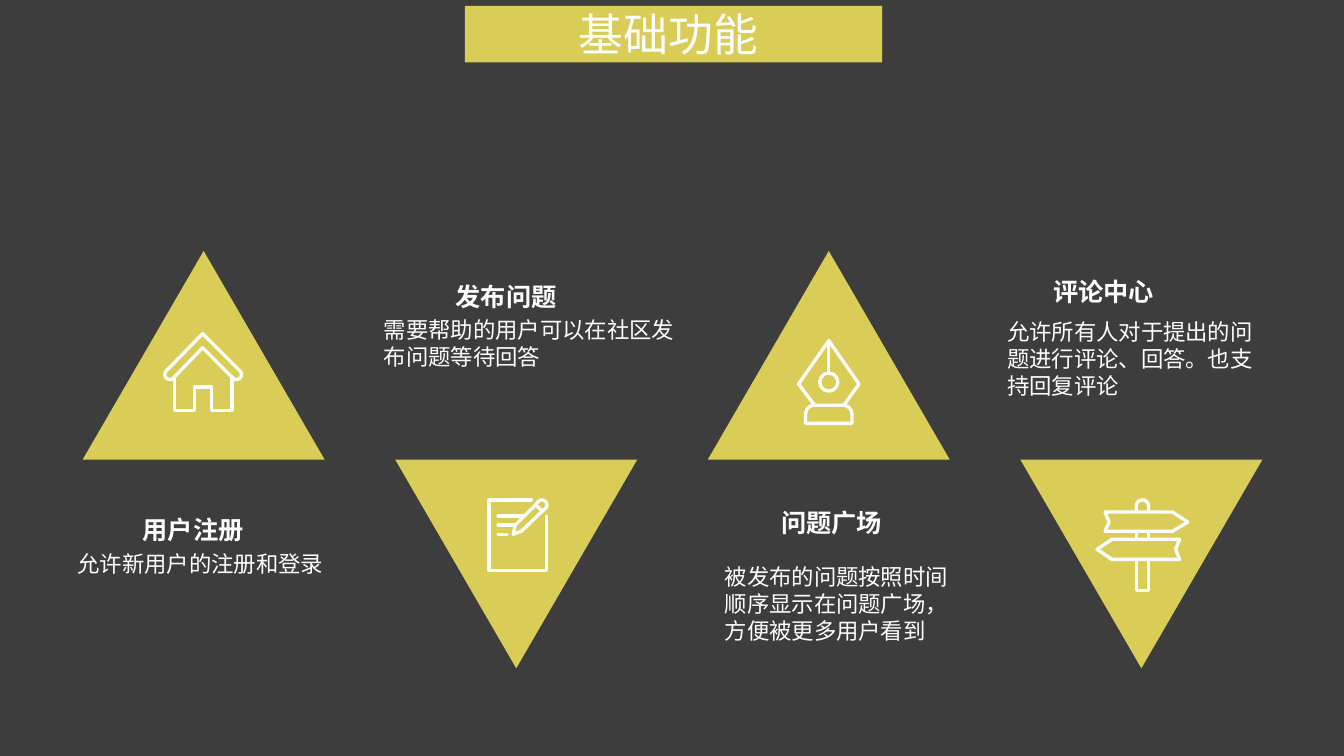
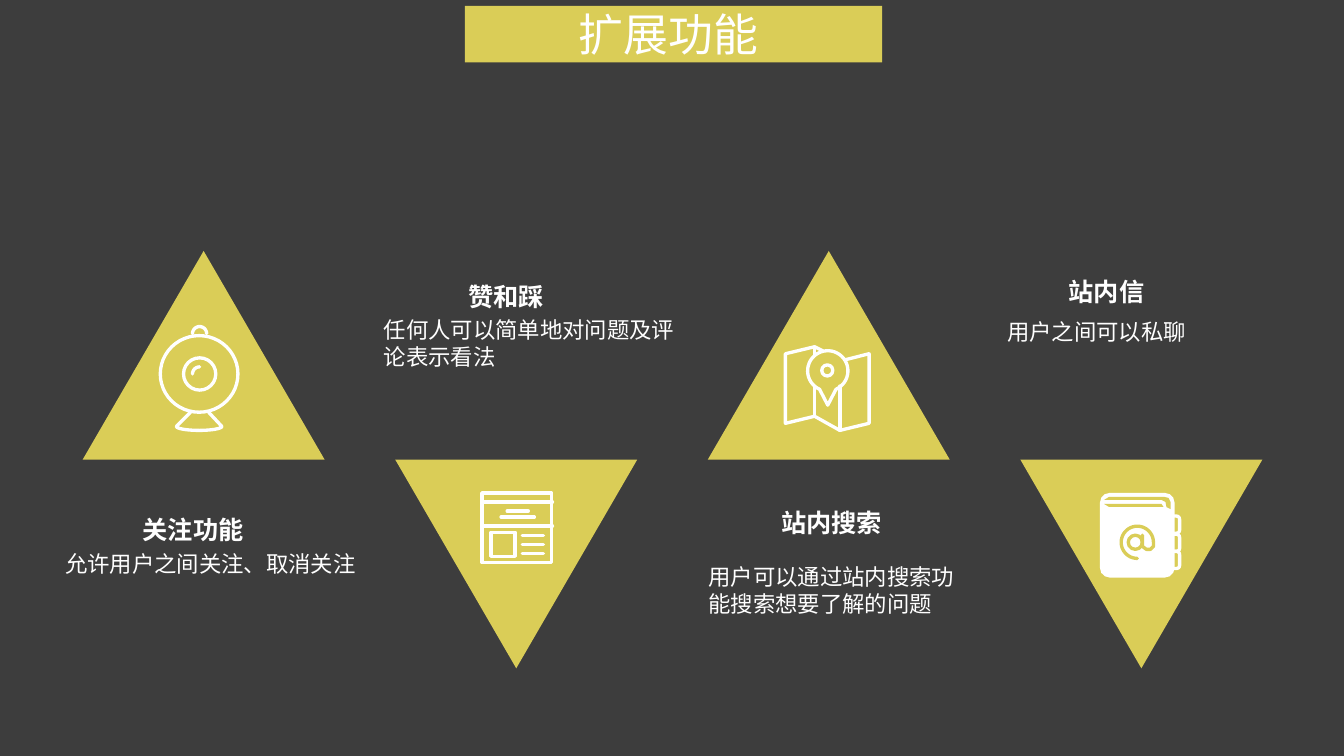
from dataclasses import dataclass
from math import cos, radians, sin

from lxml import etree
from pptx import Presentation
from pptx.dml.color import RGBColor
from pptx.enum.shapes import MSO_CONNECTOR, MSO_SHAPE
from pptx.enum.text import MSO_AUTO_SIZE, PP_ALIGN
from pptx.oxml.ns import qn
from pptx.util import Inches, Pt

RECT = MSO_SHAPE.RECTANGLE
ROUNDED = MSO_SHAPE.ROUNDED_RECTANGLE
OVAL = MSO_SHAPE.OVAL
TRIANGLE = MSO_SHAPE.ISOSCELES_TRIANGLE
STRAIGHT = MSO_CONNECTOR.STRAIGHT
LEFT = PP_ALIGN.LEFT
CENTER = PP_ALIGN.CENTER
GROW = MSO_AUTO_SIZE.SHAPE_TO_FIT_TEXT

FONT = "Noto Sans CJK SC"
DARK, YELLOW, WHITE = "3D3D3D", "DACD57", "FFFFFF"
STROKE = 2.38
FIRST_LEFT, COLUMN_STEP = 0.82, 3.1
UPPER_TOP, LOWER_TOP = 2.49, 4.56
TRIANGLE_WIDTH, TRIANGLE_HEIGHT = 2.4, 2.07

Point = tuple[float, float]


@dataclass(frozen=True)
class Outline:
    points: list[Point]
    closed: bool = False
    line: str | None = WHITE
    fill: str | None = None


@dataclass(frozen=True)
class Segment:
    start: Point
    end: Point


@dataclass(frozen=True)
class Preset:
    kind: MSO_SHAPE
    left: float
    top: float
    width: float
    height: float
    line: str | None = WHITE
    fill: str | None = None
    rounding: float | None = None


Icon = list[Outline | Segment | Preset]


@dataclass(frozen=True)
class Feature:
    heading: str
    body: str
    body_left: float
    body_width: float
    body_lines: int
    icon: Icon


@dataclass(frozen=True)
class Column:
    heading_left: float
    heading_top: float
    heading_width: float
    body_top: float


COLUMNS = [
    Column(0.66, 5.05, 2.51, 5.41),
    Column(3.7, 2.74, 2.64, 3.09),
    Column(6.93, 4.98, 2.64, 5.54),
    Column(9.69, 2.69, 2.51, 3.11),
]


def arc(x: float, y: float, rx: float, ry: float, start: float, end: float) -> list[Point]:
    steps = max(8, int(abs(end - start) / 8))
    angles = [radians(start + (end - start) * i / steps) for i in range(steps + 1)]
    return [(x + rx * cos(a), y + ry * sin(a)) for a in angles]


def rows(left: float, tops_and_rights: list[Point]) -> Icon:
    return [Segment((left, top), (right, top)) for top, right in tops_and_rights]


HOUSE: Icon = [
    Outline([(2.01, 3.45), *arc(2.345, 3.715, 0.05, 0.05, 135, -45), (2.01, 3.31),
             *arc(1.685, 3.715, 0.05, 0.05, 225, 45)], closed=True),
    Outline([(1.73, 3.74), (1.73, 4.07), (1.93, 4.07), (1.93, 3.84),
             (2.1, 3.84), (2.1, 4.07), (2.3, 4.07), (2.3, 3.74)]),
]
NOTE: Icon = [
    Outline([(5.17, 5.27), (5.09, 5.3), (5.11, 5.21), (5.31, 5.01), (5.38, 5.07)], closed=True),
    Outline([(5.38, 5.07), *arc(5.375, 5.01, 0.05, 0.05, 45, -135), (5.31, 5.01)]),
    Outline([(5.42, 5.12), (5.42, 5.66), (4.85, 5.66), (4.85, 4.96), (5.27, 4.96)]),
    *rows(4.94, [(5.12, 5.19), (5.21, 5.1), (5.3, 5.03)]),
]
PEN: Icon = [
    Preset(OVAL, 8.13, 3.7, 0.18, 0.18),
    Outline([*arc(8.08, 4.11, 0.09, 0.09, 180, 270), *arc(8.36, 4.11, 0.09, 0.09, 270, 360),
             (8.45, 4.2), (7.99, 4.2)], closed=True),
    Outline([(8.37, 4.02), (8.52, 3.81), (8.22, 3.38), (7.92, 3.81), (8.08, 4.02)]),
    Segment((8.22, 3.38), (8.22, 3.7)),
]
SIGNPOST: Icon = [
    Outline([(11.27, 5.06), *arc(11.33, 5.02, 0.06, 0.06, 180, 360), (11.39, 5.06)]),
    *[Segment((x, 5.27), (x, 5.35)) for x in (11.27, 11.39)],
    Outline([(11.27, 5.55), (11.27, 5.86), (11.39, 5.86), (11.39, 5.55)]),
    Outline([(11.63, 5.27), (10.96, 5.27), (11, 5.18), (10.96, 5.08),
             (11.63, 5.08), (11.78, 5.18)], closed=True),
    Outline([(11.03, 5.35), (11.7, 5.35), (11.66, 5.45), (11.7, 5.55),
             (11.03, 5.55), (10.88, 5.45)], closed=True),
]
WEBCAM: Icon = [
    Preset(OVAL, 1.59, 3.33, 0.77, 0.76),
    Preset(OVAL, 1.82, 3.55, 0.32, 0.32),
    Outline(arc(1.98, 3.31, 0.07, 0.07, 180, 360)),
    Outline(arc(1.98, 3.71, 0.07, 0.07, 180, 270)),
    Outline([(1.89, 4.09), *arc(1.975, 4.23, 0.225, 0.04, 180, 0), (2.07, 4.09)]),
]
PAGE: Icon = [
    Preset(RECT, 4.78, 4.89, 0.69, 0.69),
    Preset(RECT, 4.87, 5.28, 0.24, 0.24),
    *rows(4.78, [(4.98, 5.48), (5.22, 5.48)]),
    *rows(5.03, [(5.07, 5.24)]),
    *rows(4.97, [(5.13, 5.3)]),
    *rows(5.18, [(y, 5.39) for y in (5.31, 5.4, 5.49)]),
]
MAP: Icon = [
    Preset(OVAL, 8.15, 3.62, 0.11, 0.11),
    Outline([*arc(8.21, 3.68, 0.2, 0.2, 114, 426), (8.21, 4.02)], closed=True),
    Outline([(8.08, 3.44), (7.79, 3.51), (7.79, 4.2), (8.08, 4.13),
             (8.33, 4.27), (8.62, 4.2), (8.62, 3.51), (8.38, 3.57)]),
    Segment((8.33, 4.27), (8.33, 3.83)),
    Segment((8.08, 3.52), (8.08, 3.44)),
    Segment((8.08, 4.13), (8.08, 3.83)),
    Segment((8.16, 3.48), (8.08, 3.44)),
]
ADDRESS_BOOK: Icon = [
    *[Preset(ROUNDED, 11.6, top, 0.1, 0.17, rounding=0.3) for top in (5.12, 5.3, 5.47)],
    Preset(ROUNDED, 10.91, 4.89, 0.74, 0.84, line=None, fill=WHITE, rounding=0.13),
    Outline([(10.95, 4.96), (11, 4.93), (11.55, 4.93), (11.59, 4.94), (11.61, 4.98),
             (11.61, 5.05), (11.57, 5.03), (11.56, 4.98), (11.52, 4.96)], True, None, YELLOW),
    Outline([(10.95, 5), (11.52, 5), (11.54, 5.03), (11, 5.03)], True, None, YELLOW),
    Preset(OVAL, 11.19, 5.31, 0.14, 0.14, line=YELLOW),
    Outline([(11.33, 5.31), (11.33, 5.42), (11.37, 5.45), (11.41, 5.45), (11.44, 5.42),
             *arc(11.28, 5.38, 0.16, 0.16, 0, -270)], line=YELLOW),
]

SLIDES = {
    "基础功能 ": [
        Feature("用户注册", "允许新用户的注册和登录", 0.67, 3.07, 1, HOUSE),
        Feature("发布问题", "需要帮助的用户可以在社区发布问题等待回答", 3.71, 3.22, 2, NOTE),
        Feature("问题广场", "被发布的问题按照时间顺序显示在问题广场，方便被更多用户看到",
                7.09, 2.47, 3, PEN),
        Feature("评论中心", "允许所有人对于提出的问题进行评论、回答。也支持回复评论",
                9.89, 2.85, 3, SIGNPOST),
    ],
    "扩展功能 ": [
        Feature("关注功能", "允许用户之间关注、取消关注", 0.55, 3.2, 1, WEBCAM),
        Feature("赞和踩", "任何人可以简单地对问题及评论表示看法", 3.71, 3.22, 2, PAGE),
        Feature("站内搜索", "用户可以通过站内搜索功能搜索想要了解的问题", 6.93, 2.75, 2, MAP),
        Feature(" 站内信", "用户之间可以私聊", 9.89, 2.85, 1, ADDRESS_BOOK),
    ],
}


def color(value: str) -> RGBColor:
    return RGBColor.from_string(value)


def style_line(drawn, value: str) -> None:
    drawn.line.color.rgb = color(value)
    drawn.line.width = Pt(STROKE)
    ln = drawn._element.spPr.find(qn("a:ln"))
    ln.set("cap", "rnd")
    etree.SubElement(ln, qn("a:round"))


def style_shape(shape, line: str | None, fill: str | None) -> None:
    shape.shadow.inherit = False
    if fill:
        shape.fill.solid()
        shape.fill.fore_color.rgb = color(fill)
    else:
        shape.fill.background()
    if line:
        style_line(shape, line)
    else:
        shape.line.fill.background()


def add_preset(shapes, part: Preset):
    shape = shapes.add_shape(part.kind, Inches(part.left), Inches(part.top),
                             Inches(part.width), Inches(part.height))
    if part.rounding is not None:
        shape.adjustments[0] = part.rounding
    style_shape(shape, part.line, part.fill)
    return shape


def add_outline(shapes, part: Outline) -> None:
    first, *rest = [(Inches(x), Inches(y)) for x, y in part.points]
    builder = shapes.build_freeform(*first)
    builder.add_line_segments(rest, close=part.closed)
    style_shape(builder.convert_to_shape(), part.line, part.fill)


def add_segment(shapes, part: Segment) -> None:
    connector = shapes.add_connector(STRAIGHT, *map(Inches, part.start + part.end))
    style_line(connector, WHITE)
    etree.SubElement(connector._element.spPr, qn("a:effectLst"))


def add_icon(slide, icon: Icon) -> None:
    shapes = slide.shapes.add_group_shape().shapes
    for part in icon:
        if isinstance(part, Outline):
            add_outline(shapes, part)
        elif isinstance(part, Segment):
            add_segment(shapes, part)
        else:
            add_preset(shapes, part)


def add_text(slide, text: str, left: float, top: float, width: float, height: float,
             size: int, bold: bool = False, align: PP_ALIGN = CENTER) -> None:
    frame = slide.shapes.add_textbox(
        Inches(left), Inches(top), Inches(width), Inches(height)).text_frame
    frame.word_wrap = True
    frame.auto_size = GROW
    frame.text = text
    paragraph = frame.paragraphs[0]
    paragraph.alignment = align
    for run in paragraph.runs:
        run.font.size = Pt(size)
        run.font.bold = bold
        run.font.color.rgb = color(WHITE)
        run.font.name = FONT
        etree.SubElement(run._r.get_or_add_rPr(), qn("a:ea"), typeface=FONT)


def add_feature(slide, index: int, feature: Feature) -> None:
    column = COLUMNS[index]
    points_down = index % 2 == 1
    triangle = add_preset(slide.shapes, Preset(
        TRIANGLE, FIRST_LEFT + index * COLUMN_STEP, LOWER_TOP if points_down else UPPER_TOP,
        TRIANGLE_WIDTH, TRIANGLE_HEIGHT, line=None, fill=YELLOW))
    triangle.rotation = 180 if points_down else 0
    add_icon(slide, feature.icon)
    add_text(slide, feature.heading, column.heading_left, column.heading_top,
             column.heading_width, 0.4, 18, bold=True)
    add_text(slide, feature.body, feature.body_left, column.body_top, feature.body_width,
             0.1 + 0.27 * feature.body_lines, 16, align=LEFT)


def main() -> None:
    deck = Presentation()
    deck.slide_width, deck.slide_height = Inches(13.33), Inches(7.5)
    backdrop = deck.slide_master.background.fill
    backdrop.solid()
    backdrop.fore_color.rgb = color(DARK)
    for title, features in SLIDES.items():
        slide = deck.slides.add_slide(deck.slide_layouts[6])
        add_preset(slide.shapes, Preset(RECT, 4.61, 0.06, 4.14, 0.56, line=None, fill=YELLOW))
        add_text(slide, title, 4.78, 0.02, 3.8, 0.64, 32)
        for index, feature in enumerate(features):
            add_feature(slide, index, feature)
    deck.save("out.pptx")


if __name__ == "__main__":
    main()
